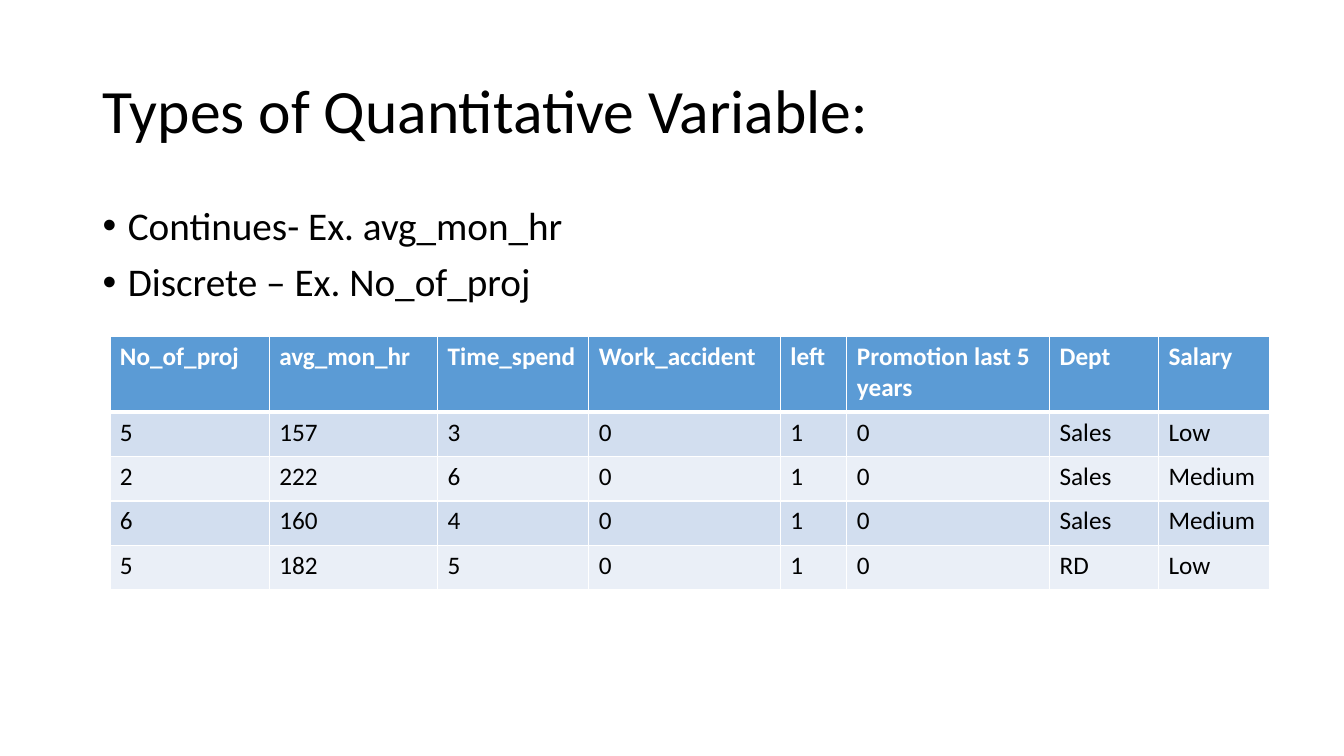
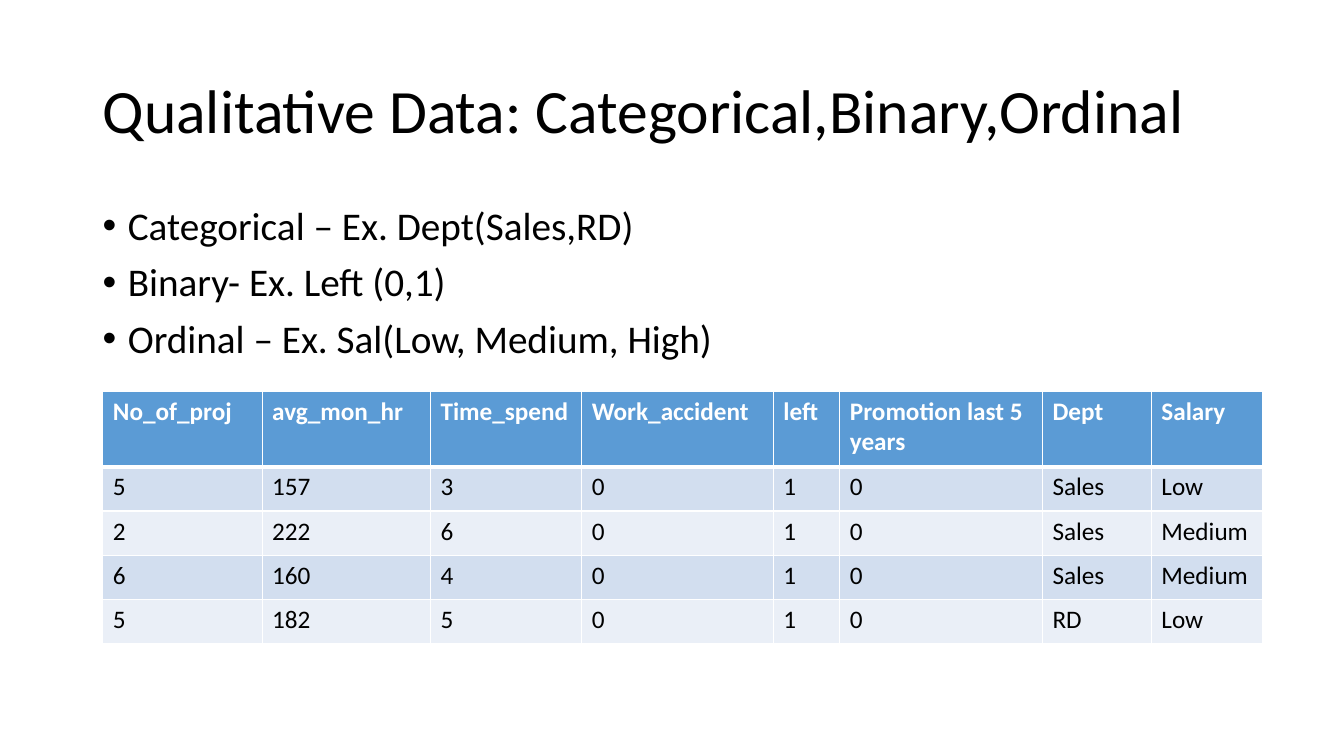
from lxml.etree import SubElement
from pptx import Presentation
from pptx.dml.color import RGBColor
from pptx.enum.text import MSO_ANCHOR as Anchor
from pptx.oxml import parse_xml
from pptx.oxml.ns import nsdecls, qn
from pptx.util import Inches, Pt

COLORS = {
    "text": "000000",
    "header": "5B9BD5",
    "odd_row": "D2DEEF",
    "even_row": "EAEFF7",
    "white": "FFFFFF",
}
FONT = "Calibri"
MARGIN, CONTENT_WIDTH = 0.92, 11.5
COLUMN_WIDTHS = [1.58, 1.67, 1.5, 1.9, 0.66, 2.01, 1.08, 1.1]
HEADER_HEIGHT, ROW_HEIGHT = 0.75, 0.44
THIN, THICK = 1, 3

EMPLOYEES = [
    ["No_of_proj", "avg_mon_hr", "Time_spend", "Work_accident", "left",
     "Promotion last 5 years", "Dept", "Salary"],
    ["5", "157", "3", "0", "1", "0", "Sales", "Low"],
    ["2", "222", "6", "0", "1", "0", "Sales", "Medium"],
    ["6", "160", "4", "0", "1", "0", "Sales", "Medium"],
    ["5", "182", "5", "0", "1", "0", "RD", "Low"],
]

SLIDES = [
    {
        "title": "Types of Quantitative Variable:",
        "points": ["Continues- Ex. avg_mon_hr", "Discrete – Ex. No_of_proj"],
        "table_at": (1.09, 3.34),
    },
    {
        "title": "Qualitative Data: Categorical,Binary,Ordinal",
        "points": [
            "Categorical – Ex. Dept(Sales,RD)",
            "Binary- Ex. Left (0,1)",
            "Ordinal – Ex. Sal(Low, Medium, High)",
        ],
        "table_at": (1.02, 3.88),
    },
]


class Deck:
    def __init__(self):
        self.prs = Presentation()
        self.prs.slide_width = Inches(13.33)
        self.prs.slide_height = Inches(7.5)
        self.slide = None

    def new_slide(self):
        self.slide = self.prs.slides.add_slide(self.prs.slide_layouts[6])

    def style(self, paragraph, size, color="text", bold=False):
        for run in paragraph.runs:
            run.font.name = FONT
            run.font.size = Pt(size)
            run.font.bold = bold
            run.font.color.rgb = RGBColor.from_string(COLORS[color])

    def text_frame(self, top, height, text, size, anchor):
        frame = self.slide.shapes.add_textbox(
            Inches(MARGIN), Inches(top), Inches(CONTENT_WIDTH), Inches(height)
        ).text_frame
        frame.word_wrap = True
        frame.vertical_anchor = anchor
        frame.text = text
        for paragraph in frame.paragraphs:
            paragraph.line_spacing = 0.9
            self.style(paragraph, size)
        return frame

    def title(self, text):
        self.text_frame(0.4, 1.45, text, 44, Anchor.MIDDLE)

    def bullets(self, points):
        frame = self.text_frame(2, 4.76, "\n".join(points), 28, Anchor.TOP)
        for paragraph in frame.paragraphs:
            paragraph.space_before = Pt(10)
            props = paragraph._p.get_or_add_pPr()
            props.set("marL", str(Inches(0.25)))
            props.set("indent", str(Inches(-0.25)))
            SubElement(props, qn("a:buFont"), typeface="Arial")
            SubElement(props, qn("a:buChar"), char="•")

    def borders(self, cell, top, bottom):
        widths = {"lnL": THIN, "lnR": THIN, "lnT": top, "lnB": bottom}
        for position, (side, width) in enumerate(widths.items()):
            line = parse_xml(
                f'<a:{side} {nsdecls("a")} w="{Pt(width)}"><a:solidFill>'
                f'<a:srgbClr val="{COLORS["white"]}"/></a:solidFill></a:{side}>'
            )
            cell._tc.get_or_add_tcPr().insert(position, line)

    def table(self, left, top, records):
        heights = [HEADER_HEIGHT] + [ROW_HEIGHT] * (len(records) - 1)
        grid = self.slide.shapes.add_table(
            len(records), len(COLUMN_WIDTHS), Inches(left), Inches(top),
            Inches(sum(COLUMN_WIDTHS)), Inches(sum(heights))
        ).table
        for column, width in zip(grid.columns, COLUMN_WIDTHS):
            column.width = Inches(width)
        for index, (row, height, record) in enumerate(zip(grid.rows, heights, records)):
            row.height = Inches(height)
            is_header = index == 0
            band = "header" if is_header else "odd_row" if index % 2 else "even_row"
            for cell, value in zip(row.cells, record):
                cell.text = value
                cell.fill.solid()
                cell.fill.fore_color.rgb = RGBColor.from_string(COLORS[band])
                self.style(cell.text_frame.paragraphs[0], 18,
                           "white" if is_header else "text", is_header)
                self.borders(cell, THICK if index == 1 else THIN,
                             THICK if is_header else THIN)


def main():
    deck = Deck()
    for content in SLIDES:
        deck.new_slide()
        deck.title(content["title"])
        deck.bullets(content["points"])
        deck.table(*content["table_at"], EMPLOYEES)
    deck.prs.save("out.pptx")


if __name__ == "__main__":
    main()
